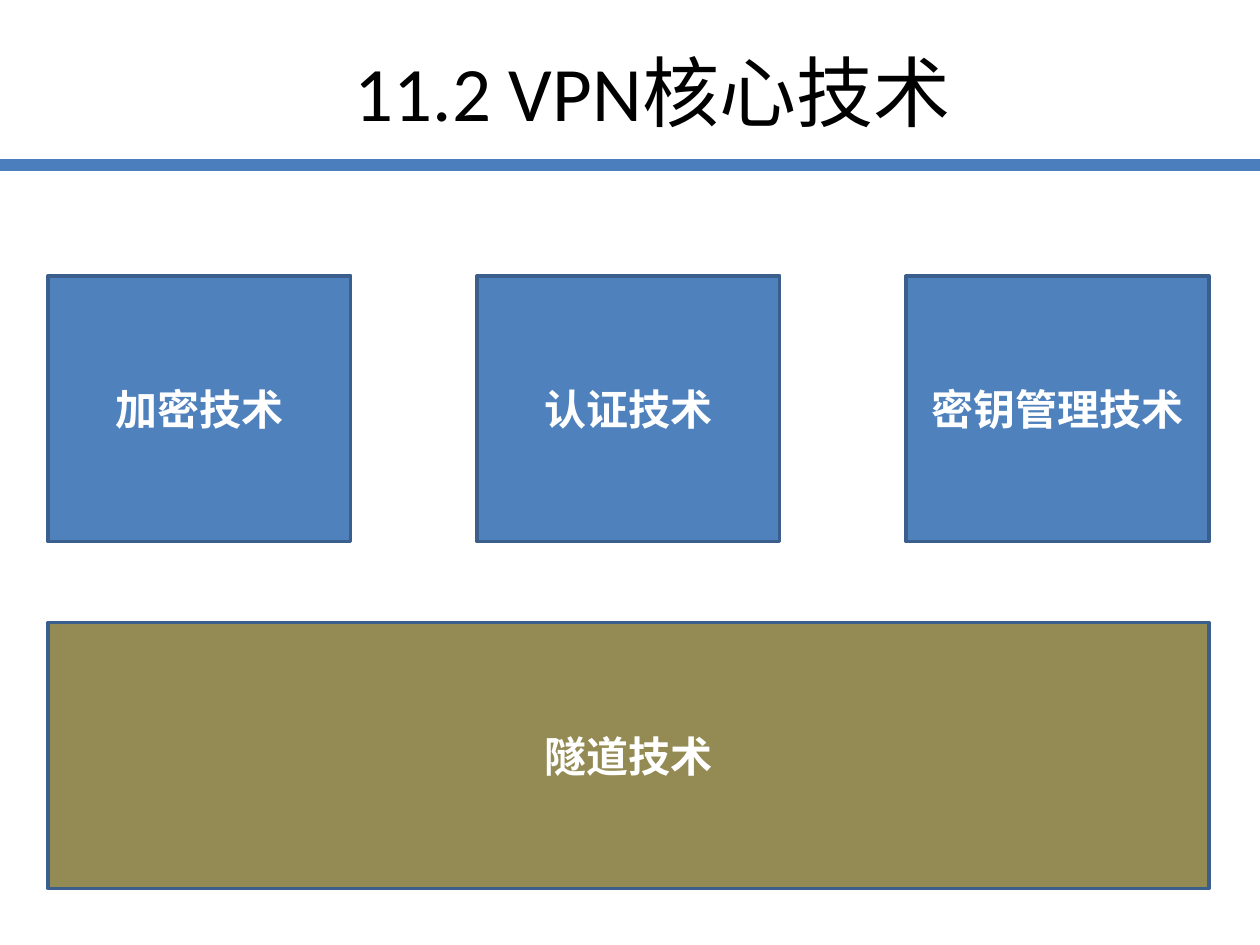
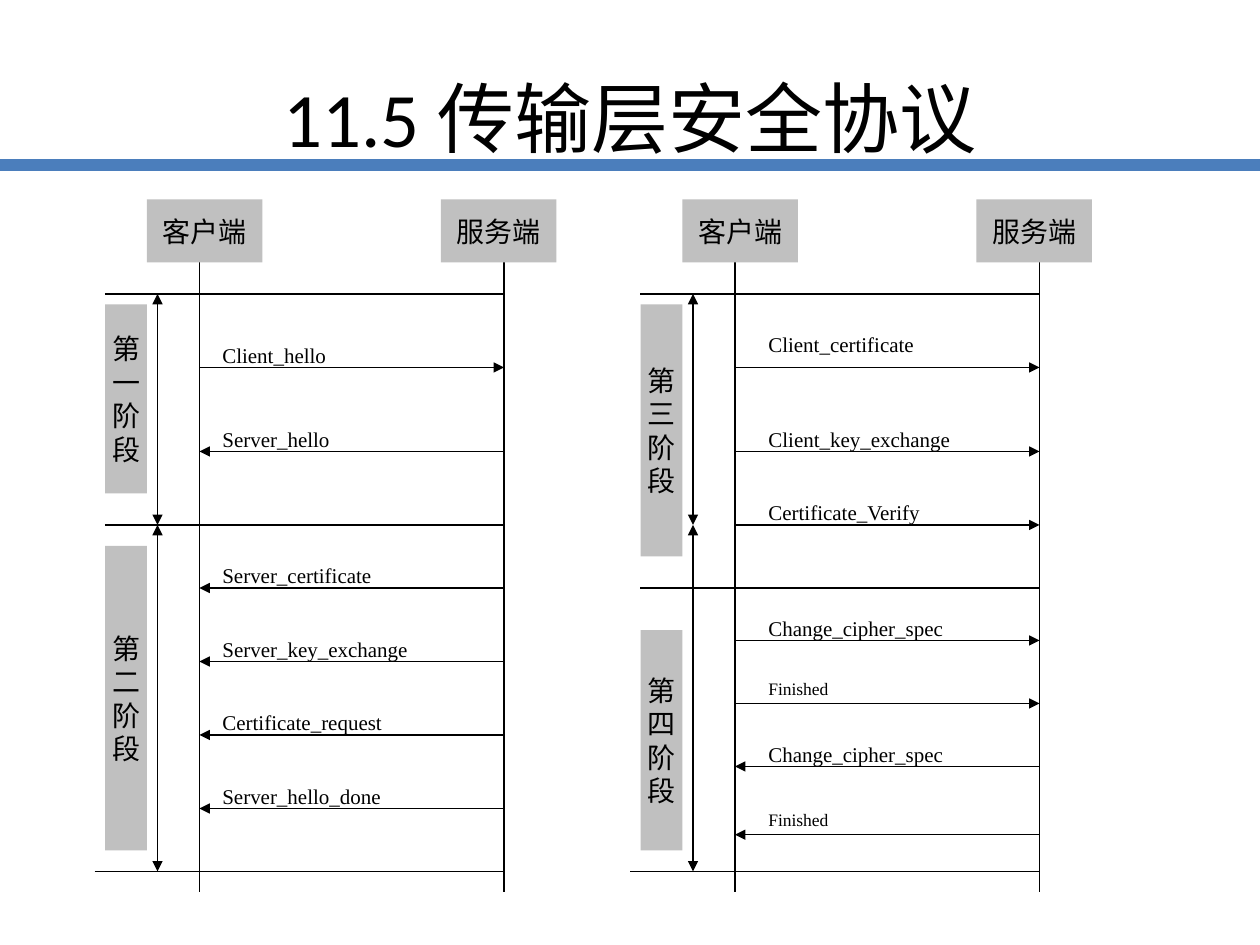
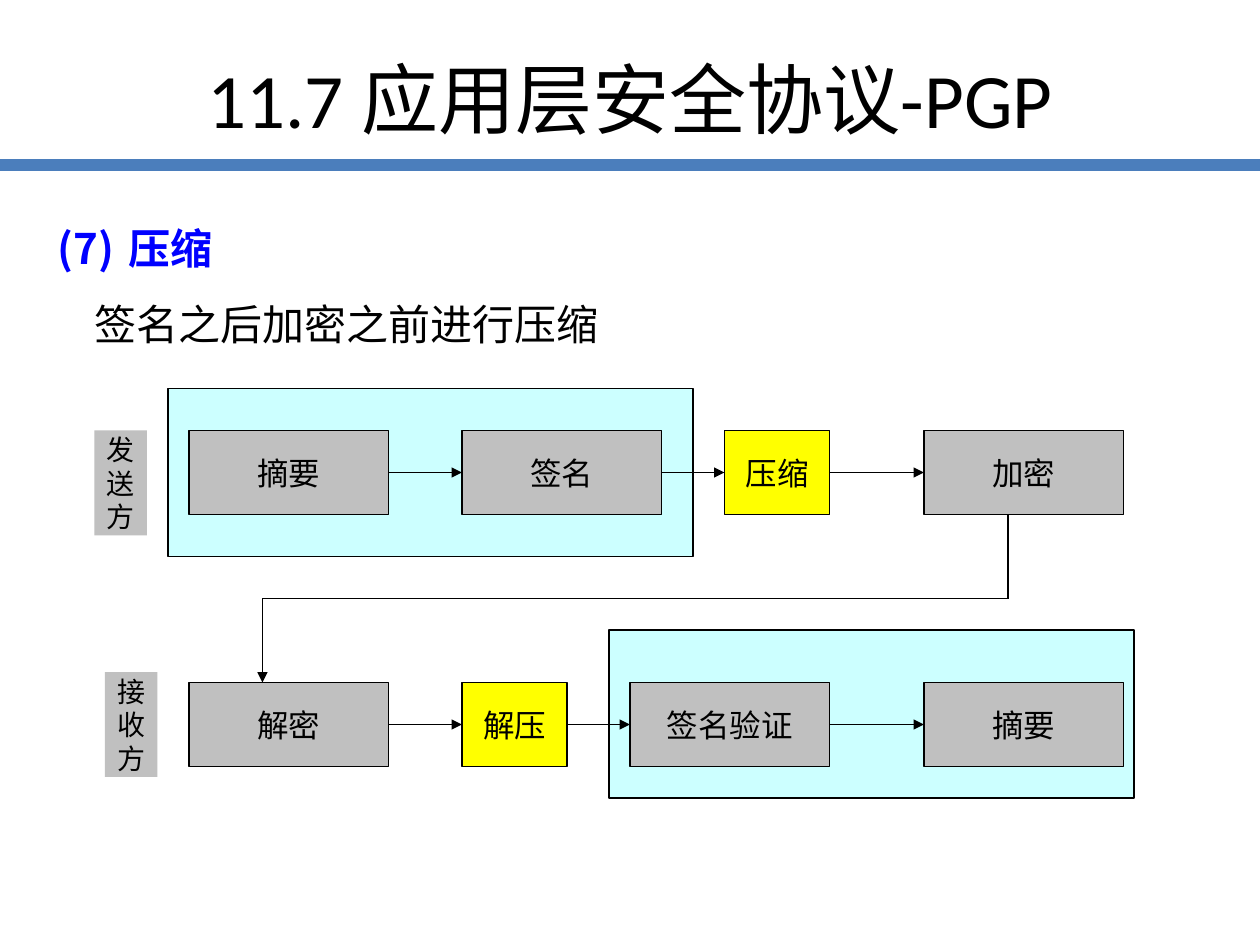
from dataclasses import dataclass
from typing import Any, NamedTuple

from pptx import Presentation
from pptx import util as u
from pptx.dml.color import RGBColor
from pptx.enum import shapes as kinds, text as txt
from pptx.oxml import parse_xml
from pptx.oxml.ns import nsdecls, qn

CELL = 2.54 / 12
BLACK, GRAY, CYAN, YELLOW = "000000", "C0C0C0", "CCFFFF", "FFFF00"
HAN = "Noto Sans CJK SC"


class Look(NamedTuple):
    """Fill, edge and type of a box."""
    fill: str
    edge: str = ""
    width: float = 0.75
    font: str = "Lato"
    size: float = 18
    ink: str = BLACK
    bold: bool = False
    wrap: bool = False


class Step(NamedTuple):
    """A message between the two sides, on a grid row."""
    name: str
    row: float
    wide: float
    back: bool = False
    size: float = 12
    lift: float = 3


class Stage(NamedTuple):
    """A stage label and its rows."""
    name: str
    row: float
    high: float


@dataclass
class Flow:
    """One half of the handshake chart."""
    left: float
    inset: float
    split: float
    stages: list[Stage]
    steps: list[Step]


class Node(NamedTuple):
    """A box in a row of the process."""
    name: str
    col: float
    wide: float = 19
    fill: str = GRAY


class Lane(NamedTuple):
    """A side of the process with its frame and nodes."""
    name: str
    tag: tuple[float, float]
    frame: tuple[float, float]
    row: float
    nodes: list[Node]


CORE = Look("4F81BD", "3A5F8C", 2, "Calibri", 24, "FFFFFF", True, True)
TAG = Look(GRAY, size=16)
FLOWS = [
    Flow(0, 20, 50, [Stage("第一阶段", 29, 18), Stage("第二阶段", 52, 29)], [
        Step("Client_hello", 35, 19),
        Step("Server_hello", 43, 14, True),
        Step("Server_certificate", 56, 18, True),
        Step("Server_key_exchange", 63, 21, True),
        Step("Certificate_request", 70, 20, True),
        Step("Server_hello_done", 77, 19, True)]),
    Flow(51, 21, 56, [Stage("第三阶段", 29, 24), Stage("第四阶段", 60, 21)], [
        Step("Client_certificate", 35, 18, lift=4),
        Step("Client_key_exchange", 43, 21),
        Step("Certificate_Verify", 50, 20),
        Step("Change_cipher_spec", 61, 25),
        Step("Finished", 67, 13, size=10),
        Step("Change_cipher_spec", 73, 25, True),
        Step("Finished", 79.5, 13, True, 10)]),
]
LANES = [
    Lane("发送方", (9, 41), (16, 37), 41, [
        Node("摘要", 18), Node("签名", 44),
        Node("压缩", 69, 10, YELLOW), Node("加密", 88)]),
    Lane("接收方", (10, 64), (58, 60), 65, [
        Node("解密", 18), Node("解压", 44, 10, YELLOW),
        Node("签名验证", 60), Node("摘要", 88)]),
]


def rgb(code: str) -> RGBColor:
    """Turn a hex string into a colour."""
    return RGBColor.from_string(code)


def cm(*nums: float) -> tuple[u.Length, ...]:
    """Turn centimetres into lengths."""
    return tuple(u.Cm(n) for n in nums)


def grid(*nums: float) -> tuple[u.Length, ...]:
    """Turn grid cells into lengths."""
    return cm(*(n * CELL for n in nums))


def place(shape: Any, area: tuple) -> None:
    """Move and size a shape."""
    shape.left, shape.top, shape.width, shape.height = area


def style(para: Any, font: str, size: float, ink: str, bold: bool = False) -> None:
    """Format every run of a paragraph."""
    for run in para.runs:
        face = run.font
        face.name, face.size, face.bold = font, u.Pt(size), bold
        face.color.rgb = rgb(ink)


def box(host: Any, area: tuple, look: Look, words: str = "") -> Any:
    """Draw a rectangle with centred text."""
    shape = host.add_shape(kinds.MSO_SHAPE.RECTANGLE, *area)
    shape.shadow.inherit = False
    shape.fill.solid()
    shape.fill.fore_color.rgb = rgb(look.fill)
    if look.edge:
        shape.line.color.rgb = rgb(look.edge)
        shape.line.width = u.Pt(look.width)
    else:
        shape.line.fill.background()
    if words:
        frame = shape.text_frame
        frame.text = words
        frame.word_wrap = look.wrap
        frame.vertical_anchor = txt.MSO_ANCHOR.MIDDLE
        for para in frame.paragraphs:
            para.alignment = txt.PP_ALIGN.CENTER
            style(para, look.font, look.size, look.ink, look.bold)
    return shape


def line(host: Any, ends: tuple, tips: str = "", ink: str = BLACK,
         width: float = 0.75) -> Any:
    """Draw a straight line with arrowheads at the named ends."""
    link = host.add_connector(kinds.MSO_CONNECTOR.STRAIGHT, *ends)
    link.line.color.rgb = rgb(ink)
    link.line.width = u.Pt(width)
    edge = link.line._get_or_add_ln()
    for tip in tips.split():
        edge.append(parse_xml(f'<a:{tip} {nsdecls("a")} type="triangle"/>'))
    link.element.spPr.append(parse_xml(f'<a:effectLst {nsdecls("a")}/>'))
    return link


def start(deck: Any, kind: int, words: str, area: tuple) -> Any:
    """Add a slide with its title."""
    slide = deck.slides.add_slide(deck.slide_layouts[kind])
    title = slide.shapes.title
    place(title, area)
    title.text_frame.text = words
    title.text_frame.vertical_anchor = txt.MSO_ANCHOR.MIDDLE
    para = title.text_frame.paragraphs[0]
    para.alignment = txt.PP_ALIGN.CENTER
    style(para, "Calibri", 44, BLACK)
    return slide


def band(deck: Any, slide: Any) -> None:
    """Put the blue rule on the master."""
    rule = line(slide.shapes, cm(0, 3.33, 25.4, 3.33), "", "4B7EBC", 7)
    deck.slide_master.shapes.element.append(rule.element)


def core(deck: Any) -> None:
    """Build the slide of core techniques."""
    slide = start(deck, 5, "11.2 VPN核心技术", cm(2.34, 0.58, 21.64, 2.51))
    band(deck, slide)
    for i, name in enumerate(("加密技术", "认证技术", "密钥管理技术")):
        box(slide.shapes, cm(0.97 + 8.65 * i, 5.56, 6.1, 5.36), CORE, name)
    base = CORE._replace(fill="948A54")
    box(slide.shapes, cm(0.97, 12.55, 23.4, 5.36), base, "隧道技术")


def chart(host: Any, flow: Flow) -> None:
    """Draw one half of the handshake."""
    near, far, top, mid, low = flow.left + 19, flow.left + 48, 28, 50, 83
    for col in (near, far):
        line(host, grid(col, 25, col, 85))
    for col, row in ((10, top), (10, flow.split), (9, low)):
        line(host, grid(flow.left + col, row, far, row))
    for col, name in ((14, "客户端"), (42, "服务端")):
        box(host, grid(flow.left + col, 19, 11, 6), TAG, name)
    span = flow.left + 15
    for head, foot in ((top, mid), (mid, low)):
        line(host, grid(span, head, span, foot), "headEnd tailEnd")
    for stage in flow.stages:
        area = grid(flow.left + 10, stage.row, 4, stage.high)
        box(host, area, TAG, "\n".join(stage.name))
    for step in flow.steps:
        ends = (far, near) if step.back else (near, far)
        line(host, grid(ends[0], step.row, ends[1], step.row), "tailEnd")
        note = host.add_textbox(*grid(
            flow.left + flow.inset, step.row - step.lift, step.wide, 3.6))
        frame = note.text_frame
        frame.text = step.name
        frame.word_wrap = True
        frame.auto_size = txt.MSO_AUTO_SIZE.SHAPE_TO_FIT_TEXT
        style(frame.paragraphs[0], "Times New Roman", step.size, BLACK)


def shake(deck: Any) -> None:
    """Build the handshake slide."""
    slide = start(deck, 5, "11.5 传输层安全协议", cm(1.27, 0.76, 22.86, 3.18))
    for flow in FLOWS:
        chart(slide.shapes.add_group_shape().shapes, flow)


def lead(body: Any) -> None:
    """Fill the numbered heading and its sentence."""
    place(body, cm(0.91, 3.86, 12.47, 3.33))
    frame = body.text_frame
    frame.text = "压缩\n签名之后加密之前进行压缩"
    frame.auto_size = txt.MSO_AUTO_SIZE.NONE
    frame.vertical_anchor = txt.MSO_ANCHOR.TOP
    marks = ('buAutoNum type="arabicParenBoth" startAt="7"', "buNone")
    rows = zip(frame.paragraphs, body.element.iter(qn("a:p")), marks,
               ((1.42, -1.42), (0.74, 0)))
    for para, node, mark, (left, hang) in rows:
        para.line_spacing, para.space_before = 1.5, u.Pt(0)
        prop = node.get_or_add_pPr()
        prop.set("marL", str(u.Cm(left)))
        prop.set("indent", str(u.Cm(hang)))
        prop.append(parse_xml(f'<a:{mark.replace(" ", " " + nsdecls("a") + " ", 1)}/>'
                              if " " in mark else f'<a:{mark} {nsdecls("a")}/>'))
    style(frame.paragraphs[0], "Lato", 24, "0000FF", True)
    style(frame.paragraphs[1], HAN, 24, BLACK)


def mail(deck: Any) -> None:
    """Build the compression slide."""
    slide = start(deck, 1, "11.7 应用层安全协议-PGP", cm(1.27, 0.76, 22.86, 2.41))
    lead(slide.placeholders[1])
    host = slide.shapes
    for lane in LANES:
        box(host, grid(*lane.frame, 50, 16), Look(CYAN, BLACK))
        box(host, grid(*lane.tag, 5, 10), TAG, "\n".join(lane.name))
        nodes = [box(host, grid(node.col, lane.row, node.wide, 8),
                     Look(node.fill, BLACK), node.name) for node in lane.nodes]
        for prev, then in zip(nodes, nodes[1:]):
            link = line(host, (0, 0, 0, 0), "tailEnd")
            link.begin_connect(prev, 3)
            link.end_connect(then, 1)
    line(host, grid(96, 49, 96, 57))
    line(host, grid(25, 57, 96, 57))
    line(host, grid(25, 57, 25, 65), "tailEnd")


def main() -> None:
    """Build and save the deck."""
    deck = Presentation()
    deck.slide_width, deck.slide_height = cm(25.4, 19.05)
    for build in (core, shake, mail):
        build(deck)
    for slide in deck.slides:
        for prop in slide.element.iter(qn("a:rPr")):
            prop.append(parse_xml(f'<a:ea {nsdecls("a")} typeface="{HAN}"/>'))
    deck.save("out.pptx")


if __name__ == "__main__":
    main()
